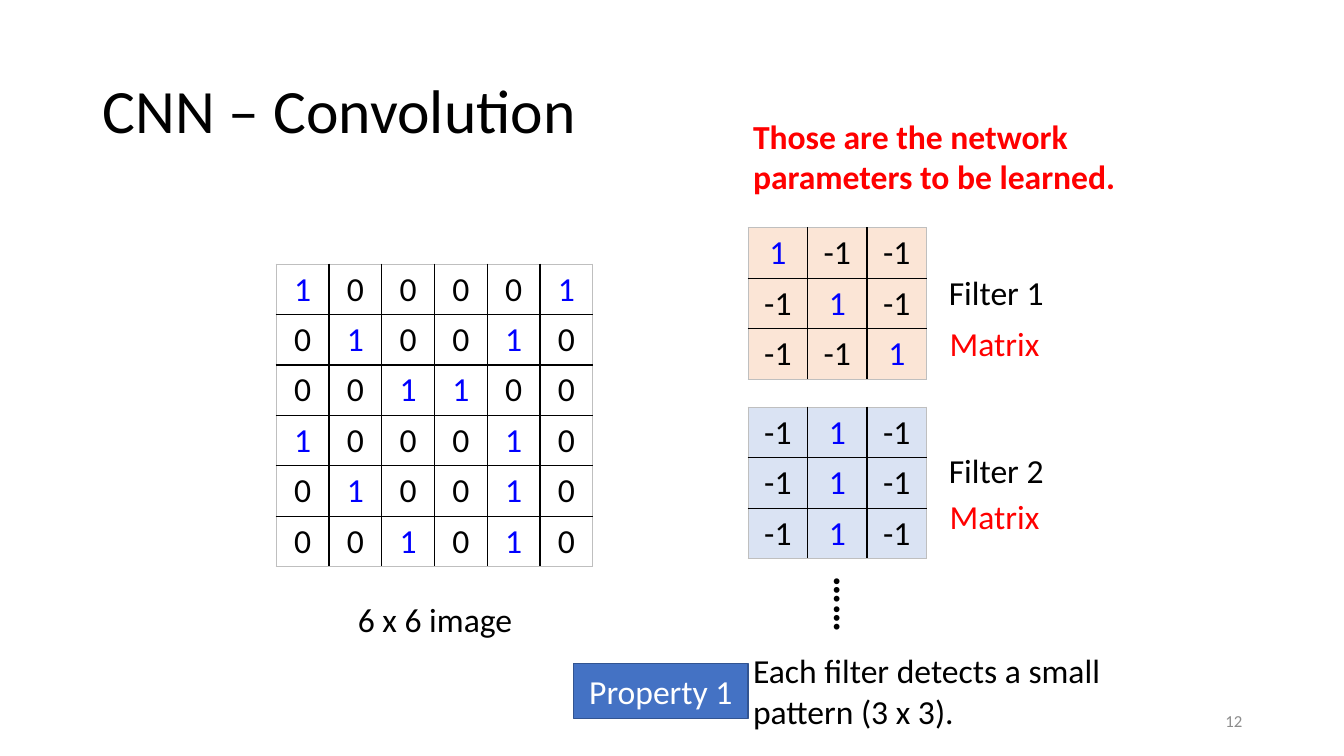
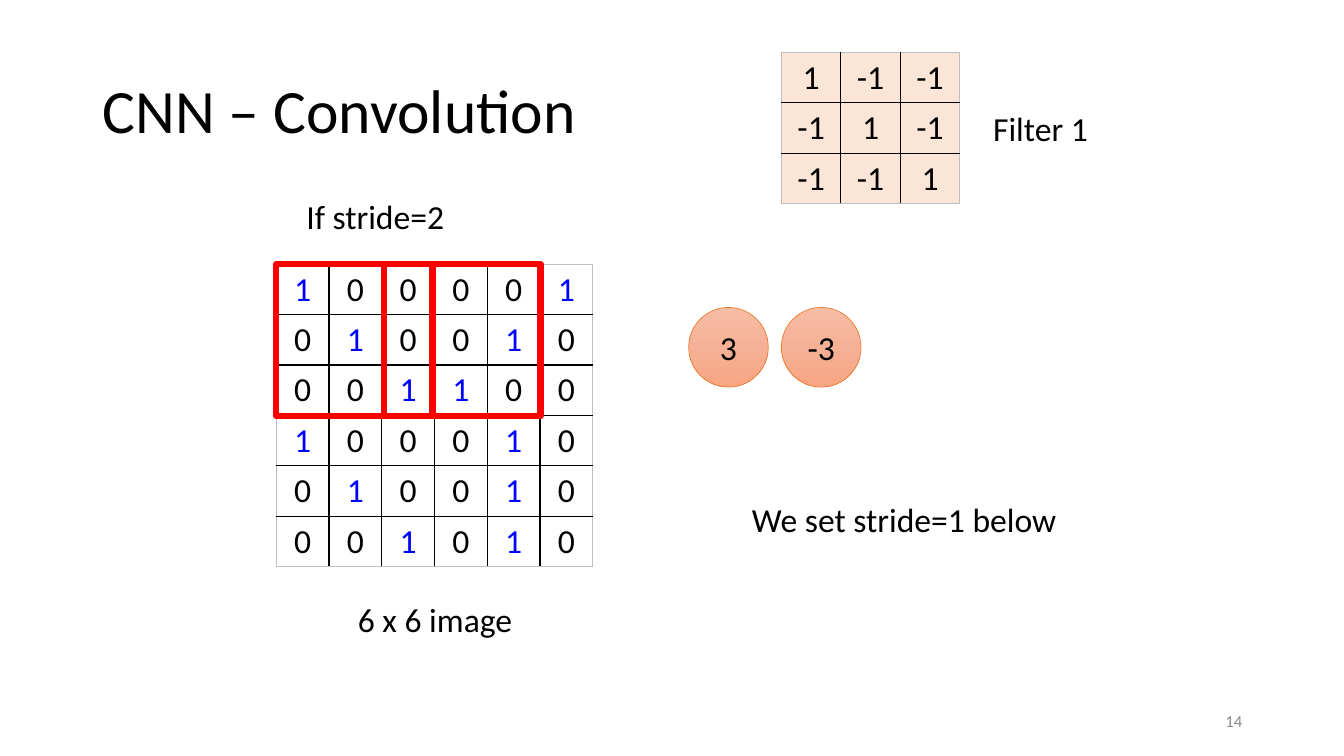
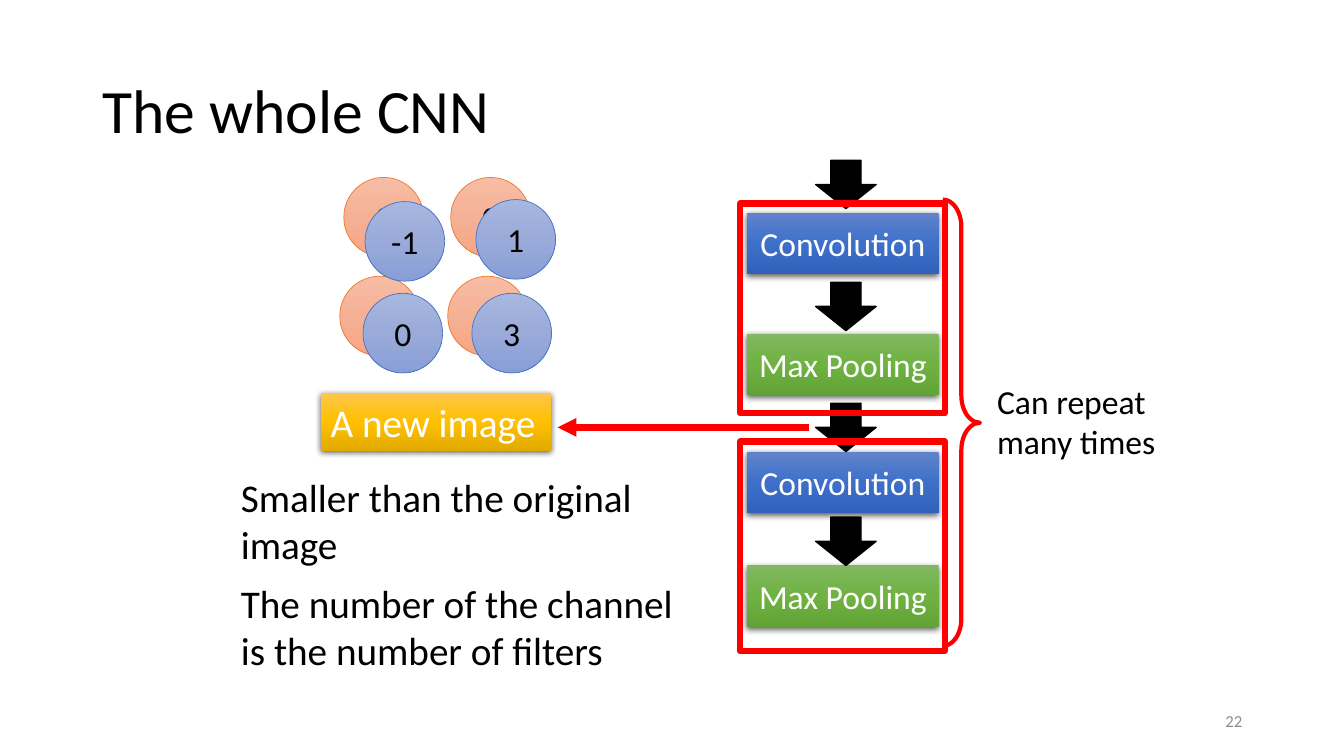
from copy import deepcopy

from pptx import Presentation
from pptx.dml.color import RGBColor
from pptx.enum import shapes, text
from pptx.oxml import parse_xml
from pptx.oxml.ns import nsdecls, qn
from pptx.util import Pt

PX = 9144  # EMU in one px, 100 px to the inch
FONT = "Calibri"

BLACK = RGBColor(0x00, 0x00, 0x00)
WHITE = RGBColor(0xFF, 0xFF, 0xFF)
RED = RGBColor(0xFF, 0x00, 0x00)
DIGIT_BLUE = RGBColor(0x00, 0x00, 0xFF)
ACCENT_BLUE = RGBColor(0x44, 0x72, 0xC4)
DARK_BLUE = RGBColor(0x32, 0x54, 0x91)
ORANGE = RGBColor(0xED, 0x7D, 0x31)
PALE_ORANGE = RGBColor(0xFB, 0xE5, 0xD6)
PALE_BLUE = RGBColor(0xDA, 0xE3, 0xF3)
FOOTER_GREY = RGBColor(0x8C, 0x8C, 0x8C)
EDGE_GREY = RGBColor(0xBF, 0xBF, 0xBF)

# Gradients, top to bottom
ORANGE_FADE = [RGBColor(0xF7, 0xBD, 0xA5), RGBColor(0xF5, 0xB1, 0x96), RGBColor(0xF8, 0xA5, 0x82)]
PERIWINKLE_FADE = [RGBColor(0xA8, 0xB7, 0xDF), RGBColor(0x9A, 0xAB, 0xD9), RGBColor(0x88, 0x9E, 0xD7)]
BLUE_FADE = [RGBColor(0x61, 0x83, 0xCB), RGBColor(0x3E, 0x70, 0xCA), RGBColor(0x30, 0x62, 0xBB)]
GREEN_FADE = [RGBColor(0x81, 0xB8, 0x61), RGBColor(0x6F, 0xB2, 0x42), RGBColor(0x62, 0xA3, 0x36)]
GOLD_FADE = [RGBColor(0xFF, 0xC6, 0x4B), RGBColor(0xFF, 0xC0, 0x00), RGBColor(0xE3, 0xAB, 0x00)]

SHAPE = shapes.MSO_SHAPE
LEFT, CENTER, RIGHT = text.PP_ALIGN.LEFT, text.PP_ALIGN.CENTER, text.PP_ALIGN.RIGHT
TOP, MIDDLE = text.MSO_ANCHOR.TOP, text.MSO_ANCHOR.MIDDLE

IMAGE_ROWS = ["1 0 0 0 0 1", "0 1 0 0 1 0", "0 0 1 1 0 0",
              "1 0 0 0 1 0", "0 1 0 0 1 0", "0 0 1 0 1 0"]
FILTER_1 = ["1 -1 -1", "-1 1 -1", "-1 -1 1"]
FILTER_2 = ["-1 1 -1"] * 3


def emu(*lengths):
    return [length * PX for length in lengths]


# Text
def put_text(frame, words, size=24, color=BLACK, bold=False, align=LEFT,
             anchor=TOP, spacing=None):
    frame.word_wrap = True
    frame.vertical_anchor = anchor
    paragraph = frame.paragraphs[0]
    paragraph.alignment = align
    paragraph.line_spacing = spacing
    run = paragraph.add_run()
    run.text = words
    run.font.name = FONT
    run.font.size = Pt(size)
    run.font.bold = bold
    run.font.color.rgb = color


def label(slide, box, words, **style):
    text_box = slide.shapes.add_textbox(*emu(*box))
    put_text(text_box.text_frame, words, **style)
    return text_box


# Shapes
def fade(shape, colors):
    shape.fill.gradient()
    shape.fill.gradient_angle = 270
    stop_list = shape._element.spPr.find(".//" + qn("a:gsLst"))
    stop_list.insert(1, deepcopy(stop_list[0]))
    for stop, color, position in zip(shape.fill.gradient_stops, colors, (0, 0.5, 1)):
        stop.color.rgb = color
        stop.position = position


def add_shape(slide, kind, box, fill=None, line=None, width=1):
    shape = slide.shapes.add_shape(kind, *emu(*box))
    shape.shadow.inherit = False
    if fill is None:
        shape.fill.background()
    elif isinstance(fill, list):
        fade(shape, fill)
    else:
        shape.fill.solid()
        shape.fill.fore_color.rgb = fill
    if line is None:
        shape.line.fill.background()
    else:
        shape.line.color.rgb = line
        shape.line.width = Pt(width)
    return shape


def red_frame(slide, box):
    add_shape(slide, SHAPE.RECTANGLE, box, line=RED, width=4.5)


def raised_block(slide, box, words, fill, **style):
    block = add_shape(slide, SHAPE.RECTANGLE, box, fill)
    block._element.spPr.find(qn("a:effectLst")).append(parse_xml(
        f'<a:outerShdw {nsdecls("a")} blurRad="57150" dist="19050" dir="5400000" '
        'algn="ctr" rotWithShape="0"><a:srgbClr val="000000">'
        '<a:alpha val="63000"/></a:srgbClr></a:outerShdw>'))
    put_text(block.text_frame, words, color=WHITE, **style)


def value_circle(slide, left, top, value, fill=ORANGE_FADE, line=ORANGE):
    circle = add_shape(slide, SHAPE.OVAL, (left, top, 79, 79), fill, line, 0.5)
    put_text(circle.text_frame, value, align=CENTER, anchor=MIDDLE)


def red_arrow(slide, start, end):
    arrow = slide.shapes.add_connector(shapes.MSO_CONNECTOR.STRAIGHT, *emu(*start, *end))
    arrow.line.color.rgb = RED
    arrow.line.width = Pt(4.5)
    arrow.line._get_or_add_ln().append(
        parse_xml(f'<a:tailEnd {nsdecls("a")} type="triangle"/>'))
    arrow._element.spPr.append(parse_xml(f'<a:effectLst {nsdecls("a")}/>'))


# Number grids
def border_cell(cell, outer_sides):
    properties = cell._tc.get_or_add_tcPr()
    for index, side in enumerate(("L", "R", "T", "B")):
        color = EDGE_GREY if side in outer_sides else BLACK
        properties.insert(index, parse_xml(
            f'<a:ln{side} {nsdecls("a")} w="12700"><a:solidFill>'
            f'<a:srgbClr val="{color}"/></a:solidFill></a:ln{side}>'))


def number_grid(slide, box, rows, fill=None, one_color=DIGIT_BLUE):
    values = [row.split() for row in rows]
    count = len(values)
    table = slide.shapes.add_table(count, count, *emu(*box)).table
    table.first_row = table.horz_banding = False
    for i, row in enumerate(values):
        for j, value in enumerate(row):
            cell = table.cell(i, j)
            if fill is None:
                cell.fill.background()
            else:
                cell.fill.solid()
                cell.fill.fore_color.rgb = fill
            put_text(cell.text_frame, value, align=CENTER,
                     color=one_color if value == "1" else BLACK)
            edges = {"L": j == 0, "R": j == count - 1, "T": i == 0, "B": i == count - 1}
            border_cell(cell, [side for side, outer in edges.items() if outer])


def image_region(slide, left, top):
    number_grid(slide, (left, top, 314, 300), IMAGE_ROWS)
    label(slide, (left + 29, top + 327, 257, 50), "6 x 6 image", align=CENTER)


def filter_region(slide, left, top, name, rows, fill, name_offset, one_color=DIGIT_BLUE):
    number_grid(slide, (left, top, 177, 150), rows, fill, one_color)
    across, down = name_offset
    label(slide, (left + across, top + down, 158, 50), name, align=CENTER)


# Layer stack with its repeat brace
def layer_stack(slide, left, top):
    layers = [("Convolution", BLUE_FADE), ("Max Pooling", GREEN_FADE)] * 2
    for (name, fill), down in zip(layers, (52, 172, 289, 402)):
        raised_block(slide, (left + 7, top + down, 190, 61), name, fill,
                     align=CENTER, anchor=MIDDLE)
    for down in (0, 121, 241, 354):
        add_shape(slide, SHAPE.DOWN_ARROW, (left + 75, top + down, 60, 48), BLACK, BLACK)
    brace = add_shape(slide, SHAPE.RIGHT_BRACE, (left + 201, top + 39, 37, 443),
                      line=RED, width=3)
    brace.adjustments[0] = 0.73
    label(slide, (left + 245, top + 214, 185, 91), "Can repeat many times")
    red_frame(slide, (left, top + 43, 203, 208))
    red_arrow(slide, (left + 68, top + 265), (left - 181, top + 265))
    red_frame(slide, (left, top + 279, 203, 208))


def new_image_region(slide, left, top):
    raised_block(slide, (left + 89, top + 214, 229, 57), "A new image", GOLD_FADE, size=28)
    label(slide, (left, top + 289, 465, 104), "Smaller than the original image", size=28)
    label(slide, (left, top + 394, 469, 104),
          "The number of the channel is the number of filters", size=28)
    back = [(112, 0, "3"), (218, 0, "0"), (215, 98, "1"), (108, 98, "3")]
    front = [(133, 24, "-1"), (243, 22, "1"), (239, 115, "3"), (131, 115, "0")]
    for across, down, value in back:
        value_circle(slide, left + across, top + down, value)
    for across, down, value in front:
        value_circle(slide, left + across, top + down, value, PERIWINKLE_FADE, ACCENT_BLUE)


# Slides
def base_slide(presentation, title, number):
    slide = presentation.slides.add_slide(presentation.slide_layouts[6])
    label(slide, (92, 40, 1150, 145), title, size=44, anchor=MIDDLE, spacing=0.9)
    label(slide, (942, 695, 300, 40), number, size=12, color=FOOTER_GREY,
          align=RIGHT, anchor=MIDDLE)
    return slide


def filters_slide(presentation):
    slide = base_slide(presentation, "CNN – Convolution", "12")
    image_region(slide, 274, 262)
    filter_region(slide, 742, 226, "Filter 1", FILTER_1, PALE_ORANGE, (167, 39))
    filter_region(slide, 742, 404, "Filter 2", FILTER_2, PALE_BLUE, (167, 37))
    for top in (315, 487):
        label(slide, (932, top, 112, 50), "Matrix", color=RED)
    label(slide, (804, 572, 77, 57), "……", size=28, bold=True).rotation = 90
    label(slide, (737, 110, 389, 91), "Those are the network parameters to be learned.",
          color=RED, bold=True)
    label(slide, (737, 640, 389, 91), "Each filter detects a small pattern (3 x 3).")
    badge = add_shape(slide, SHAPE.RECTANGLE, (569, 658, 173, 55), ACCENT_BLUE, DARK_BLUE)
    put_text(badge.text_frame, "Property 1", color=WHITE, align=CENTER, anchor=MIDDLE)


def stride_slide(presentation):
    slide = base_slide(presentation, "CNN – Convolution", "14")
    image_region(slide, 274, 262)
    filter_region(slide, 775, 52, "Filter 1", FILTER_1, PALE_ORANGE, (178, 50), BLACK)
    for left in (274, 381):
        red_frame(slide, (left, 262, 155, 151))
    for left, value in ((683, "3"), (775, "-3")):
        value_circle(slide, left, 305, value)
    label(slide, (294, 189, 170, 50), "If stride=2")
    label(slide, (736, 490, 340, 50), "We set stride=1 below")


def whole_cnn_slide(presentation):
    slide = base_slide(presentation, "The whole CNN", "22")
    layer_stack(slide, 734, 159)
    new_image_region(slide, 229, 176)


def main():
    presentation = Presentation()
    presentation.slide_width, presentation.slide_height = emu(1333, 750)
    filters_slide(presentation)
    stride_slide(presentation)
    whole_cnn_slide(presentation)
    presentation.save("out.pptx")


if __name__ == "__main__":
    main()
